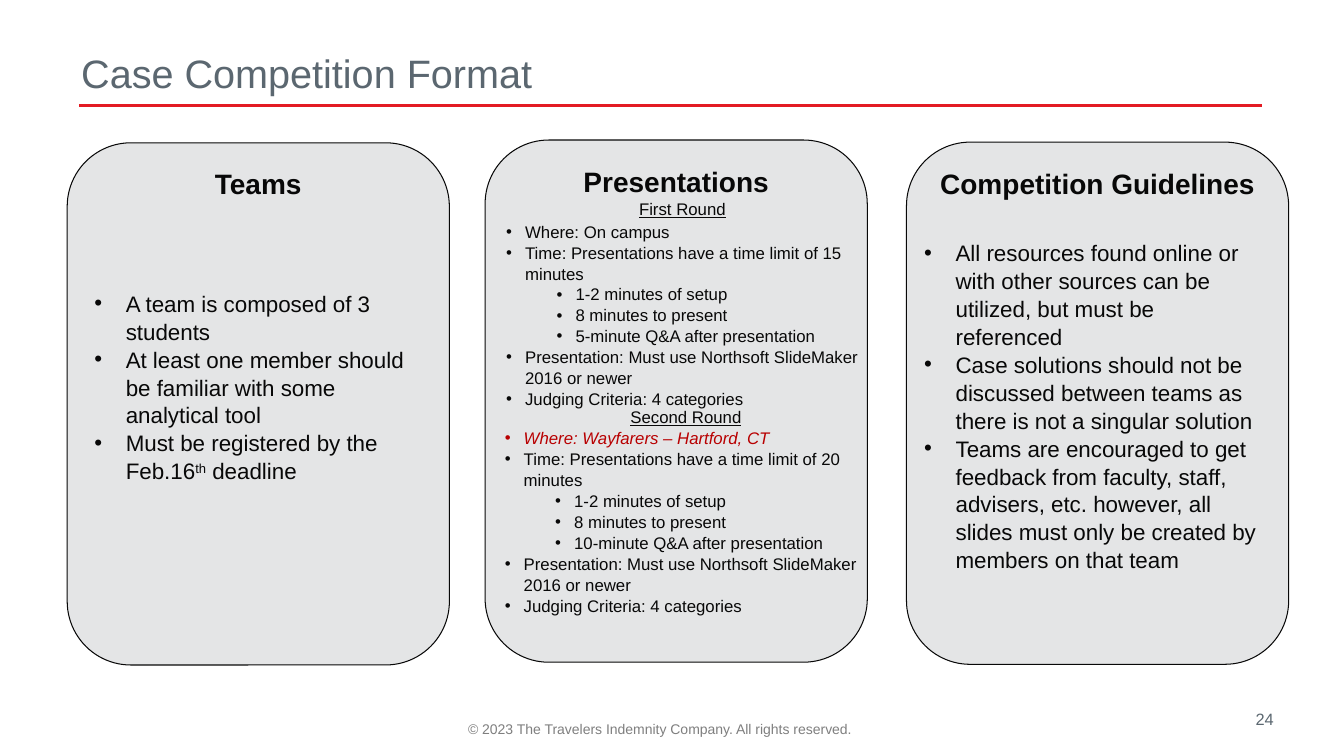
from lxml import etree
from pptx import Presentation
from pptx.dml.color import RGBColor
from pptx.enum.shapes import MSO_CONNECTOR, MSO_SHAPE
from pptx.enum.text import MSO_ANCHOR, PP_ALIGN
from pptx.oxml.ns import qn
from pptx.util import Pt

LINE = MSO_CONNECTOR.STRAIGHT
ROUNDED = MSO_SHAPE.ROUNDED_RECTANGLE
TOP, BOTTOM = MSO_ANCHOR.TOP, MSO_ANCHOR.BOTTOM
LEFT, CENTER, RIGHT = PP_ALIGN.LEFT, PP_ALIGN.CENTER, PP_ALIGN.RIGHT

COLORS = {"rule": "E31B23", "slate": "5B6770", "ink": "080808",
          "card": "E4E5E6", "accent": "B80001", "footer": "7F7F7F"}
LINE_SPACING = 1.04
CARD_W, CARD_H = 273, 373

TITLE = {"size": Pt(28.3), "color": "slate"}
HEADING = {"size": Pt(20), "bold": True}
ROUND = {"size": Pt(12), "underline": True}
BODY = {"size": Pt(16)}
DETAIL = {"size": Pt(12)}

TEAM_RULES = ["A team is composed of 3 students",
              "At least one member should be familiar with some analytical tool"]
GUIDELINES = [
    "All resources found online or with other sources can be utilized, but must be referenced",
    "Case solutions should not be discussed between teams as there is not a singular solution",
    "Teams are encouraged to get feedback from faculty, staff, advisers, etc. however, "
    "all slides must only be created by members on that team"]


def rgb(name):
    return RGBColor.from_string(COLORS[name])


def add_run(p, text, fmt):
    r = p.add_run()
    r.text = text
    r.font.name = "Arial"
    r.font.color.rgb = rgb(fmt.get("color", "ink"))
    for key, value in fmt.items():
        if key != "color":
            setattr(r.font, key, value)
    return r


def add_bullet(p, left, hang):
    pPr = p._p.get_or_add_pPr()
    pPr.set("marL", str(Pt(left)))
    pPr.set("indent", str(-Pt(hang)))
    etree.SubElement(pPr, qn("a:buFont"), typeface="Arial")
    etree.SubElement(pPr, qn("a:buChar"), char="•")


def add_paragraph(tf, text, fmt, align=LEFT, bullet=None):
    """Fill the empty first paragraph, or append another one."""
    p = tf.paragraphs[0]
    if p.runs:
        p = tf.add_paragraph()
    p.alignment = align
    p.line_spacing = LINE_SPACING
    if bullet:
        add_bullet(p, *bullet)
    add_run(p, text, fmt)
    return p


def set_frame(tf, anchor, wrap, inset_x, inset_y):
    values = {"word_wrap": wrap, "vertical_anchor": anchor,
              "margin_left": Pt(inset_x), "margin_right": Pt(inset_x),
              "margin_top": Pt(inset_y), "margin_bottom": Pt(inset_y)}
    for key, value in values.items():
        setattr(tf, key, value)


def add_box(s, x, y, w, h, anchor=TOP, wrap=True, inset=(7.2, 3.6)):
    tf = s.shapes.add_textbox(Pt(x), Pt(y), Pt(w), Pt(h)).text_frame
    set_frame(tf, anchor, wrap, *inset)
    return tf


def add_label(s, x, y, w, h, text, fmt, align=CENTER, **frame):
    add_paragraph(add_box(s, x, y, w, h, wrap=False, **frame), text, fmt, align)


def add_card(s, x, y, heading):
    sp = s.shapes.add_shape(ROUNDED, Pt(x), Pt(y), Pt(CARD_W), Pt(CARD_H))
    sp.shadow.inherit = False
    sp.fill.solid()
    sp.fill.fore_color.rgb = rgb("card")
    sp.line.color.rgb = rgb("ink")
    sp.line.width = Pt(0.75)
    tf = sp.text_frame
    set_frame(tf, TOP, True, 6, 3)
    add_paragraph(tf, heading, HEADING, CENTER)
    return tf


def add_rule(s, x1, x2, y):
    line = s.shapes.add_connector(LINE, Pt(x1), Pt(y), Pt(x2), Pt(y))
    line.line.color.rgb = rgb("rule")
    line.line.width = Pt(2)
    etree.SubElement(line._element.spPr, qn("a:effectLst"))


def add_round(s, x, y, place, place_fmt, limit, questions):
    """List the details of one round; timings sit one level deeper."""
    tf = add_box(s, x, y, 270.5, 138)
    rows = [(place, 0, place_fmt),
            (f"Time: Presentations have a time limit of {limit} minutes", 0, {}),
            ("1-2 minutes of setup", 1, {}),
            ("8 minutes to present", 1, {}),
            (f"{questions}-minute Q&A after presentation", 1, {}),
            ("Presentation: Must use Northsoft SlideMaker 2016 or newer", 0, {}),
            ("Judging Criteria: 4 categories", 0, {})]
    for text, level, fmt in rows:
        p = add_paragraph(tf, text, {**DETAIL, **fmt}, bullet=(13.5 + 36 * level, 13.5))
        p.level = level


def main():
    prs = Presentation()
    prs.slide_width, prs.slide_height = Pt(960), Pt(540)
    s = prs.slides.add_slide(prs.slide_layouts[6])

    # Title and rule
    add_rule(s, 56.5, 901.5, 75.6)
    add_label(s, 48, 16, 864, 58, "Case Competition Format", TITLE, LEFT,
              anchor=BOTTOM, inset=(10, 5))

    # Teams card
    tf = add_card(s, 48, 102, "Teams")
    for text in TEAM_RULES:
        add_paragraph(tf, text, BODY, bullet=(22.5, 22.5))
    tf.paragraphs[1].space_before = Pt(63)
    p = add_paragraph(tf, "Must be registered by the Feb.16", BODY, bullet=(22.5, 22.5))
    add_run(p, "th", BODY).font._element.set("baseline", "30000")
    add_run(p, " deadline", BODY)

    # Presentations card
    add_card(s, 346.5, 100, "Presentations")
    add_label(s, 449, 138, 77, 22, "First Round", ROUND)
    add_round(s, 354.5, 154, "Where: On campus", {}, 15, 5)
    add_label(s, 436, 286.5, 108, 22, "Second Round", ROUND)
    add_round(s, 353.5, 301.5, "Where: Wayfarers – Hartford, CT",
              {"color": "accent", "italic": True}, 20, 10)

    # Guidelines card
    add_card(s, 647.5, 101.5, "Competition Guidelines")
    tf = add_box(s, 653, 166.5, 258.5, 240)
    for text in GUIDELINES:
        add_paragraph(tf, text, BODY, bullet=(22.5, 22.5))

    # Footer
    add_label(s, 273.5, 510.5, 395.5, 19.5,
              "© 2023 The Travelers Indemnity Company. All rights reserved.",
              {"size": Pt(10), "color": "footer"})
    add_label(s, 696, 501, 224, 20, "24", {"size": Pt(11.7), "color": "slate"},
              RIGHT, inset=(10, 5))

    prs.save("out.pptx")


if __name__ == "__main__":
    main()
